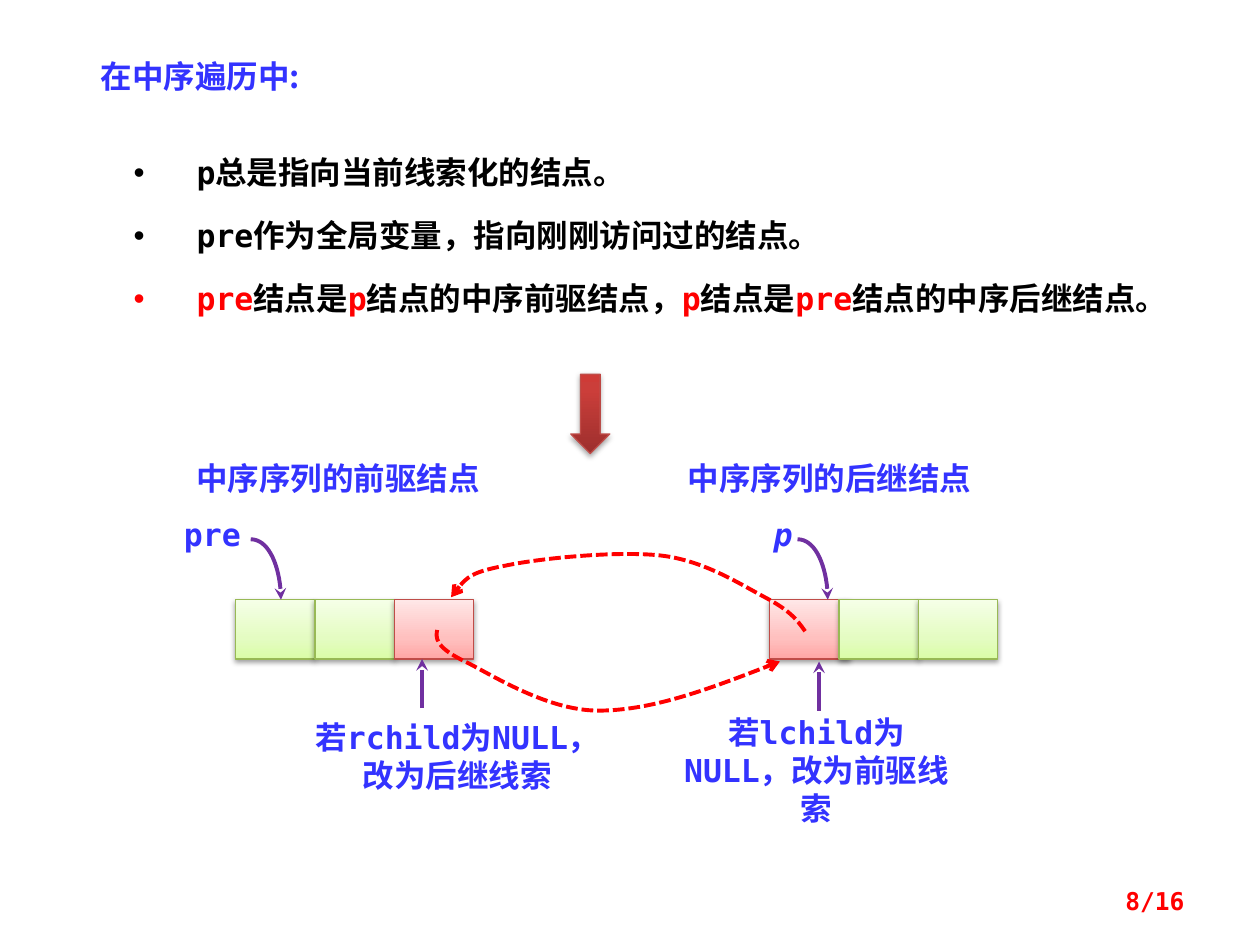
"""Build the slide on threading a binary tree in inorder traversal."""
import copy

import pptx
import pptx.dml.color
import pptx.enum.dml
import pptx.enum.shapes
import pptx.enum.text
import pptx.oxml
import pptx.oxml.ns
import pptx.util

Inch, Pt = pptx.util.Inches, pptx.util.Pt
Align, Anchor = pptx.enum.text.PP_ALIGN, pptx.enum.text.MSO_ANCHOR
Kind = pptx.enum.shapes.MSO_SHAPE
qn = pptx.oxml.ns.qn
MONO, SANS, SERIF = "DejaVu Sans Mono", "Noto Sans CJK SC", "Times New Roman"
HUE = {"blue": "3333FF", "red": "FF0000", "black": "000000",
       "white": "FFFFFF", "violet": "7030A0"}
SKIN = {
    "green": ("98B955", [(0, "DAFDA7"), (0.35, "E4FCC2"), (1, "F5FFE7")]),
    "pink": ("BF4C48", [(0, "FFA6A5"), (0.35, "FFC0BF"), (1, "FFE7E7")]),
    "brick": ("BF4C48", [(0, "9C2F2D"), (0.8, "CB3E3A"), (1, "CE3B37")]),
}
TITLE = "在中序遍历中:"
PAGE = "8/16"
POINTS = [
    [("p总是指向当前线索化的结点。", "black")],
    [("pre作为全局变量，指向刚刚访问过的结点。", "black")],
    [("pre", "red"), ("结点是", "black"), ("p", "red"),
     ("结点的中序前驱结点，", "black"), ("p", "red"), ("结点是", "black"),
     ("pre", "red"), ("结点的中序后继结点。", "black")],
]
ROW, WIDE, HIGH = 4.76, 0.63, 0.47
SIDES = [
    {"head": ("中序序列的前驱结点", 1.46), "name": ("pre", 1.33, False),
     "hook": 1.99, "cells": [(1.87, "green"), (1.87 + WIDE, "green"),
                             (1.87 + 2 * WIDE, "pink")],
     "stem": (3.35, 5.62), "note": ("若rchild为NULL，改为后继线索", 2.49, 5.7, 2.28)},
    {"head": ("中序序列的后继结点", 5.36), "name": ("p", 5.86, True),
     "hook": 6.33, "cells": [(6.11, "pink"), (6.66, "green"),
                             (6.66 + WIDE, "green")],
     "stem": (6.5, 5.64), "note": ("若lchild为NULL，改为前驱线索", 5.39, 5.66, 2.18)},
]
THREADS = [
    [(3.47, 5), (3.46, 5.06), (3.45, 5.13), (3.67, 5.24), (3.88, 5.34),
     (4.33, 5.64), (4.75, 5.64), (5.17, 5.64), (5.68, 5.45), (6.19, 5.25)],
    [(6.39, 5.01), (6.32, 4.91), (6.26, 4.84), (6.07, 4.74), (5.88, 4.64),
     (5.59, 4.45), (5.25, 4.41), (4.91, 4.37), (4.29, 4.43), (4.01, 4.49),
     (3.74, 4.54), (3.66, 4.62), (3.58, 4.74)],
]


def rgb(code):
    return pptx.dml.color.RGBColor.from_string(code)


def sub(node, tag, **attrs):
    kid = node.makeelement(qn(tag), attrs)
    node.append(kid)
    return kid


def write(para, text, face=MONO, hue="blue", size=18, italic=False):
    run = para.add_run()
    run.text = text
    form = {"name": face, "size": Pt(size), "bold": True, "italic": italic}
    for key, val in form.items():
        setattr(run.font, key, val)
    run.font.color.rgb = rgb(HUE[hue])
    sub(run.font._element, "a:ea", typeface=SANS)


def frame(shape, pad=(0.1, 0.05, 0.1, 0.05), anchor=Anchor.TOP):
    body = shape.text_frame
    form = dict(zip(("margin_left", "margin_top", "margin_right",
                     "margin_bottom"), map(Inch, pad)))
    form.update(word_wrap=True, vertical_anchor=anchor,
                auto_size=pptx.enum.text.MSO_AUTO_SIZE.NONE)
    for key, val in form.items():
        setattr(body, key, val)
    return body


def label(slide, text, box, pad=(0.1, 0.05, 0.1, 0.05), align=Align.LEFT,
          anchor=Anchor.TOP, **form):
    shape = slide.shapes.add_textbox(*map(Inch, box))
    para = frame(shape, pad, anchor).paragraphs[0]
    para.alignment = align
    write(para, text, **form)


def block(slide, kind, box, skin, alpha="38000"):
    edge, stops = SKIN[skin]
    shape = slide.shapes.add_shape(kind, *map(Inch, box))
    shape.fill.gradient()
    shape.fill.gradient_angle = 90
    bank = shape._element.spPr.find(".//" + qn("a:gsLst"))
    bank.append(copy.deepcopy(bank[-1]))
    for stop, (place, code) in zip(shape.fill.gradient_stops, stops):
        stop.position = place
        stop.color.rgb = rgb(code)
    shape.line.color.rgb = rgb(edge)
    shape.line.width = Pt(0.75)
    shape.shadow.inherit = False
    glow = sub(shape._element.spPr.find(qn("a:effectLst")), "a:outerShdw",
               blurRad=str(Pt(3.1)), dist=str(Pt(1.6)), dir="5400000",
               rotWithShape="0")
    sub(sub(glow, "a:srgbClr", val=HUE["black"]), "a:alpha", val=alpha)


def stroke(shape, hue, tip, dash=None):
    shape.line.color.rgb = rgb(HUE[hue])
    shape.line.width = Pt(2.25)
    if dash:
        shape.line.dash_style = dash
    sub(shape.line._get_or_add_ln(), "a:tailEnd", type=tip)


def curve(slide, knots, hue, tip, dash=None):
    spots = [(Inch(x), Inch(y)) for x, y in knots]
    pen = slide.shapes.build_freeform(*spots[0], scale=1.0)
    pen.add_line_segments(spots[1:], close=False)
    shape = pen.convert_to_shape()
    legs = shape._element.findall(".//" + qn("a:lnTo"))
    for i in range(0, len(legs), 3):
        bend = legs[i].makeelement(qn("a:cubicBezTo"), {})
        legs[i].addprevious(bend)
        for leg in legs[i:i + 3]:
            bend.append(leg[0])
            leg.getparent().remove(leg)
    shape.fill.background()
    shape.shadow.inherit = False
    stroke(shape, hue, tip, dash)


def bullets(slide):
    shape = slide.shapes.add_textbox(*map(Inch, (0.86, 1.02, 8.52, 1.63)))
    shape.fill.solid()
    shape.fill.fore_color.rgb = rgb(HUE["white"])
    body = frame(shape, (0.2, 0.08, 0.1, 0.12))
    for i, runs in enumerate(POINTS):
        para = body.add_paragraph() if i else body.paragraphs[0]
        form = {"alignment": Align.JUSTIFY, "line_spacing": Pt(30),
                "space_before": Pt(6 if i else 0)}
        for key, val in form.items():
            setattr(para, key, val)
        prop = para._p.get_or_add_pPr()
        prop.set("marL", str(Inch(0.5)))
        prop.set("indent", str(Inch(-0.5)))
        sub(prop, "a:buFont", typeface="Arial")
        sub(prop, "a:buChar", char="•")
        for text, hue in runs:
            write(para, text, hue=hue)


def side(slide, data):
    text, left = data["head"]
    label(slide, text, (left, 3.59, 2.99, 0.4), face=SERIF)
    for left, skin in data["cells"]:
        block(slide, Kind.RECTANGLE, (left, ROW, WIDE, HIGH), skin)
    x, top = data["hook"], ROW - 0.48
    curve(slide, [(x, top), (x + 0.13, top), (x + 0.24, top + 0.22),
                  (x + 0.24, ROW)], "violet", "stealth")
    text, left, slant = data["name"]
    none = (0, 0, 0, 0)
    label(slide, text, (left, 4.09, 0.71, 0.3), none, Align.CENTER, italic=slant)
    x, y = data["stem"]
    stem = slide.shapes.add_connector(
        pptx.enum.shapes.MSO_CONNECTOR.STRAIGHT, *map(Inch, (x, y, x, y - 0.39)))
    stroke(stem, "violet", "stealth")
    sub(stem._element.spPr, "a:effectLst")
    text, left, top, wide = data["note"]
    label(slide, text, (left, top, wide, 0.61), none, Align.CENTER)


def main():
    deck = pptx.Presentation()
    deck.slide_width, deck.slide_height = Inch(10), Inch(7.5)
    slide = deck.slides.add_slide(deck.slide_layouts[5])
    title = slide.shapes.title
    for key, val in zip(("left", "top", "width", "height"),
                        (0.7, 0.31, 3.98, 0.44)):
        setattr(title, key, Inch(val))
    para = frame(title).paragraphs[0]
    para.alignment, para.line_spacing = Align.JUSTIFY, 1.3
    write(para, TITLE, face=SANS)
    bullets(slide)
    for data in SIDES:
        side(slide, data)
    for knots in THREADS:
        curve(slide, knots, "red", "arrow",
              pptx.enum.dml.MSO_LINE.SQUARE_DOT)
    block(slide, Kind.DOWN_ARROW, (4.53, 2.97, 0.31, 0.63), "brick", "35000")
    label(slide, PAGE, (7.17, 6.95, 2.33, 0.4), align=Align.RIGHT,
          anchor=Anchor.MIDDLE, hue="red", size=14)
    deck.save("out.pptx")


if __name__ == "__main__":
    main()
